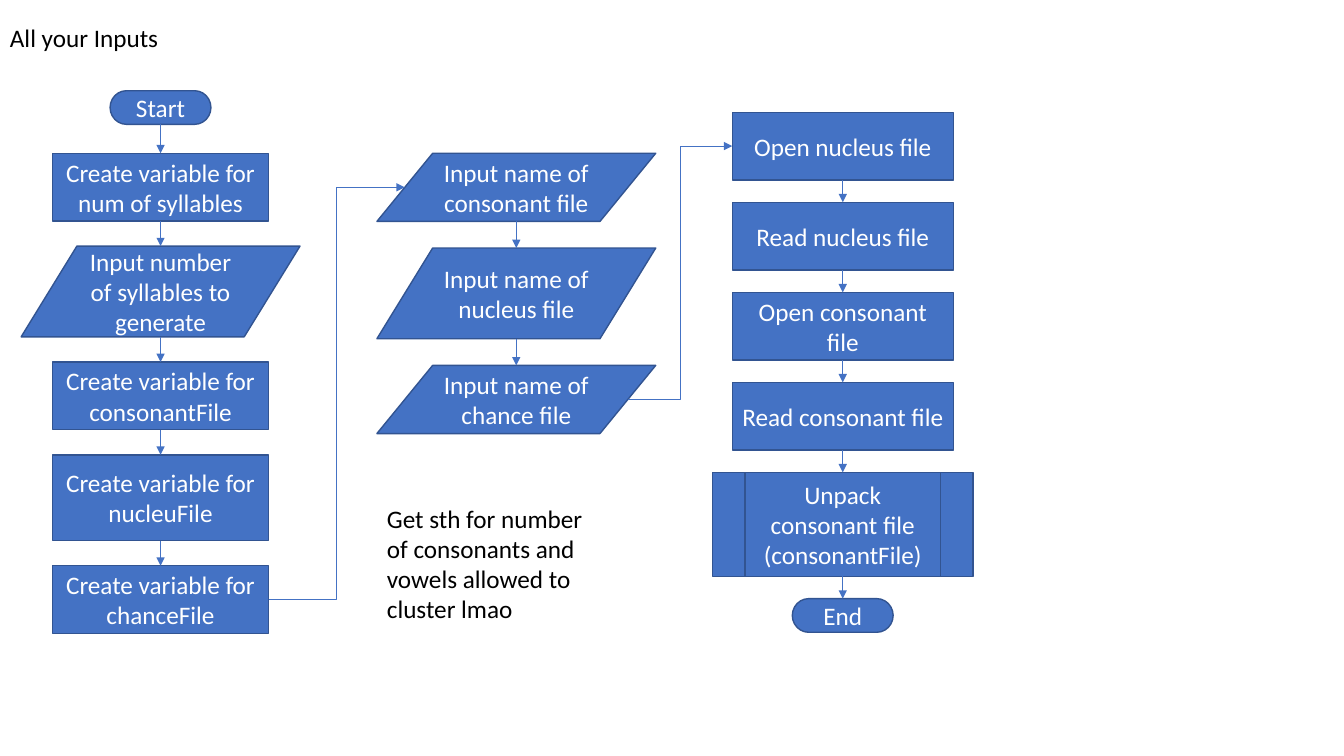
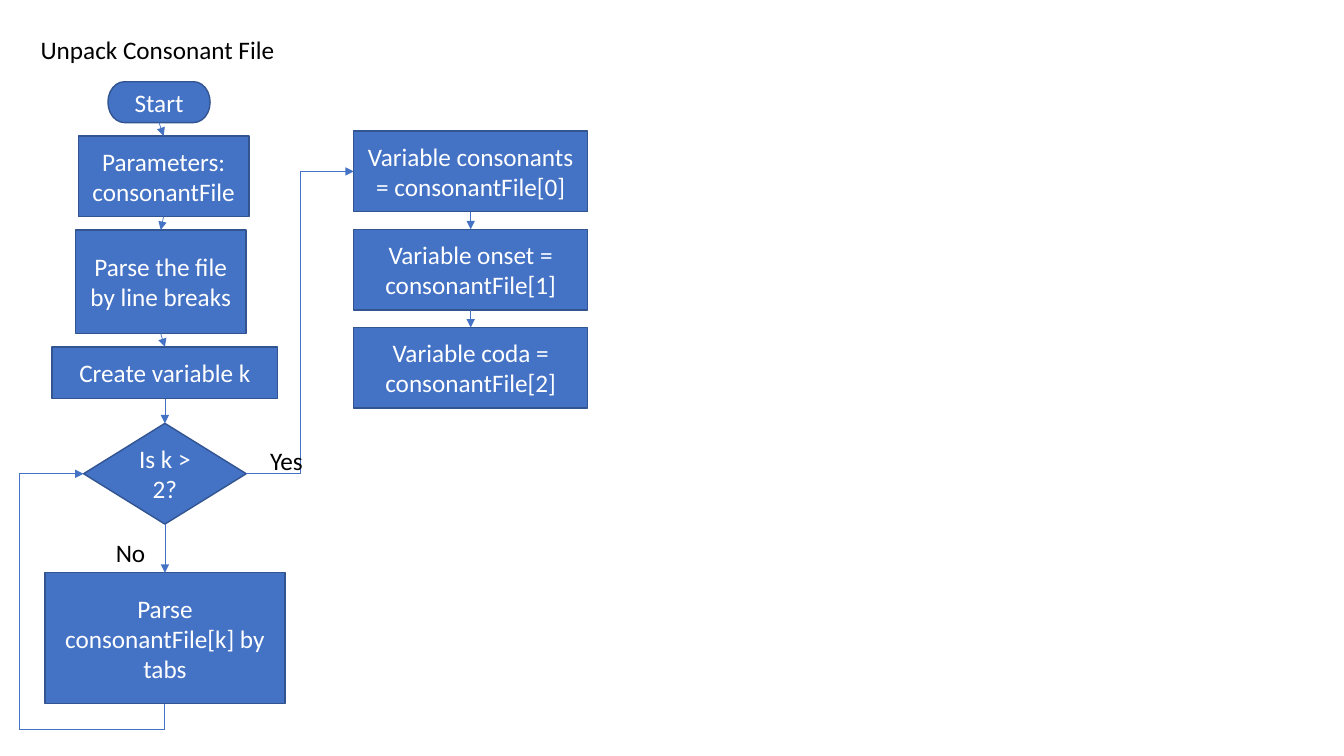
from collections import namedtuple

from lxml import etree
from pptx import Presentation
from pptx.dml.color import RGBColor
from pptx.enum.shapes import MSO_CONNECTOR, MSO_SHAPE
from pptx.enum.text import MSO_ANCHOR, MSO_AUTO_SIZE, PP_ALIGN
from pptx.oxml.ns import qn
from pptx.util import Pt

BLUE = RGBColor(0x44, 0x72, 0xC4)
DARK_BLUE = RGBColor(0x32, 0x54, 0x91)
WHITE = RGBColor(0xFF, 0xFF, 0xFF)
BLACK = RGBColor(0x00, 0x00, 0x00)
FONT = "Calibri"
FONT_SIZE = Pt(18)

TERMINATOR = MSO_SHAPE.FLOWCHART_TERMINATOR
PROCESS = MSO_SHAPE.FLOWCHART_PROCESS
DATA = MSO_SHAPE.FLOWCHART_DATA
SUBROUTINE = MSO_SHAPE.FLOWCHART_PREDEFINED_PROCESS
RECTANGLE = MSO_SHAPE.RECTANGLE
DECISION = MSO_SHAPE.DIAMOND
STRAIGHT = MSO_CONNECTOR.STRAIGHT
ELBOW = MSO_CONNECTOR.ELBOW
MIDDLE = MSO_ANCHOR.MIDDLE
CENTER = PP_ALIGN.CENTER
GROW = MSO_AUTO_SIZE.SHAPE_TO_FIT_TEXT

SITES = {"top": 0, "left": 1, "bottom": 2, "right": 3}
DATA_SITES = {"top": 1, "left": 2, "bottom": 4, "right": 5}

# shift moves a step sideways from the centre line of its column
Step = namedtuple("Step", "kind text width height shift", defaults=[0])


def format_text(text_frame, color):
    """Apply the shared font to every run."""
    for paragraph in text_frame.paragraphs:
        for run in paragraph.runs:
            run.font.name = FONT
            run.font.size = FONT_SIZE
            run.font.color.rgb = color


def add_label(slide, text, left, top, width, height, wrap=True):
    """Add plain black text."""
    shape = slide.shapes.add_textbox(Pt(left), Pt(top), Pt(width), Pt(height))
    text_frame = shape.text_frame
    text_frame.word_wrap = wrap
    text_frame.auto_size = GROW
    text_frame.text = text
    format_text(text_frame, BLACK)


def add_step(slide, step, center, top):
    """Add one flowchart symbol, centred on its column."""
    left = center + step.shift - step.width / 2
    shape = slide.shapes.add_shape(
        step.kind, Pt(left), Pt(top), Pt(step.width), Pt(step.height))
    shape.shadow.inherit = False
    shape.fill.solid()
    shape.fill.fore_color.rgb = BLUE
    shape.line.color.rgb = DARK_BLUE
    shape.line.width = Pt(1)
    text_frame = shape.text_frame
    text_frame.word_wrap = True
    text_frame.vertical_anchor = MIDDLE
    text_frame.text = step.text
    text_frame.paragraphs[0].alignment = CENTER
    format_text(text_frame, WHITE)
    return shape


def site_point(shape, side):
    """Return the point where a connector meets a side of the shape."""
    inset = shape.width // 10 if shape.auto_shape_type == DATA else 0
    middle_x = shape.left + shape.width // 2
    middle_y = shape.top + shape.height // 2
    return {
        "top": (middle_x, shape.top),
        "bottom": (middle_x, shape.top + shape.height),
        "left": (shape.left + inset, middle_y),
        "right": (shape.left + shape.width - inset, middle_y),
    }[side]


def glue(connector, tag, shape, side):
    """Attach one end of the connector to a side of the shape."""
    sites = DATA_SITES if shape.auto_shape_type == DATA else SITES
    properties = connector.element.find(".//" + qn("p:cNvCxnSpPr"))
    etree.SubElement(properties, qn(tag), id=str(shape.shape_id),
                     idx=str(sites[side]))


def draw_arrow(slide, kind, begin, end):
    """Draw a thin blue line with an arrowhead at its end."""
    connector = slide.shapes.add_connector(kind, *begin, *end)
    connector.line.color.rgb = BLUE
    connector.line.width = Pt(0.5)
    line = connector.element.spPr.find(qn("a:ln"))
    etree.SubElement(line, qn("a:tailEnd"), type="triangle")
    etree.SubElement(connector.element.spPr, qn("a:effectLst"))
    return connector


def connect(slide, source, target, sides=("bottom", "top"), kind=STRAIGHT):
    """Join two steps with an arrow."""
    connector = draw_arrow(slide, kind, site_point(source, sides[0]),
                           site_point(target, sides[1]))
    glue(connector, "a:stCxn", source, sides[0])
    glue(connector, "a:endCxn", target, sides[1])


def connect_loop(slide, source, target, drop, reach):
    """Lead an arrow from below the source round to the left of the target."""
    begin_x, begin_y = site_point(source, "bottom")
    end_x, end_y = site_point(target, "left")
    width, height = begin_y - end_y, begin_x - end_x
    center_x, center_y = (begin_x + end_x) // 2, (begin_y + end_y) // 2
    left, top = center_x - width // 2, center_y - height // 2
    connector = draw_arrow(slide, ELBOW, (left + width, top),
                           (left, top + height))
    properties = connector.element.spPr
    properties.find(qn("a:xfrm")).set("rot", "5400000")
    geometry = properties.find(qn("a:prstGeom"))
    geometry.set("prst", "bentConnector4")
    adjustments = geometry.find(qn("a:avLst"))
    ratios = {"adj1": -Pt(drop) / width, "adj2": Pt(reach) / height}
    for name, ratio in ratios.items():
        etree.SubElement(adjustments, qn("a:gd"), name=name,
                         fmla=f"val {round(ratio * 100000)}")
    glue(connector, "a:stCxn", source, "bottom")
    glue(connector, "a:endCxn", target, "left")


def add_column(slide, center, top, gap, steps):
    """Stack steps at an equal gap and join each to the next."""
    shapes = []
    for step in steps:
        shapes.append(add_step(slide, step, center, top))
        top += step.height + gap
    for source, target in zip(shapes, shapes[1:]):
        connect(slide, source, target)
    return shapes


def build_inputs(slide):
    """Build the flowchart of all inputs."""
    add_label(slide, "All your Inputs", 0, 12.4, 126, 29)
    start = add_step(slide, Step(TERMINATOR, "Start", 72, 24), 114.7, 64.8)
    variables = add_column(slide, 114.7, 109.5, 18, [
        Step(PROCESS, "Create variable for num of syllables", 154.2, 48.3),
        Step(DATA, "Input number of syllables to generate", 199.2, 64.8),
        Step(PROCESS, "Create variable for consonantFile", 154.2, 48.3),
        Step(PROCESS, "Create variable for nucleuFile", 154.2, 61.2),
        Step(PROCESS, "Create variable for chanceFile", 154.2, 48.3),
    ])
    names = add_column(slide, 368.8, 109.5, 19, [
        Step(DATA, "Input name of consonant file", 199.2, 48.7),
        Step(DATA, "Input name of nucleus file", 199.2, 64.8),
        Step(DATA, "Input name of chance file", 199.2, 48.7),
    ])
    file_steps = ["Open nucleus file", "Read nucleus file",
                  "Open consonant file", "Read consonant file"]
    files = add_column(slide, 602, 80.2, 16, [
        *(Step(PROCESS, text, 157.8, 48.3) for text in file_steps),
        Step(SUBROUTINE, "Unpack consonant file (consonantFile)", 186, 74.2),
        Step(TERMINATOR, "End", 72, 24),
    ])
    connect(slide, start, variables[0])
    connect(slide, variables[-1], names[0], ("right", "left"), ELBOW)
    connect(slide, names[-1], files[0], ("right", "left"), ELBOW)
    add_label(slide, "Get sth for number of consonants and vowels allowed to "
              "cluster lmao", 269.3, 355.7, 158.4, 94.5)


def build_unpack(slide):
    """Build the flowchart that unpacks the consonant file."""
    add_label(slide, "Unpack Consonant File", 21.9, 21, 183.6, 29, wrap=False)
    preparation = add_column(slide, 117.8, 58.4, 9.5, [
        Step(TERMINATOR, "Start", 73, 29.2, -4.2),
        Step(PROCESS, "Parameters: consonantFile", 121.7, 57.6, -0.9),
        Step(PROCESS, "Parse the file by line breaks", 121.7, 74.1, -3),
        Step(RECTANGLE, "Create variable k", 161.3, 37),
    ])
    decision, parsing = add_column(slide, 117.8, 302.4, 34.7, [
        Step(DECISION, "Is k > 2?", 116.2, 72),
        Step(RECTANGLE, "Parse consonantFile[k] by tabs", 171.4, 93.6),
    ])
    variables = add_column(slide, 336.2, 93.7, 12.5, [
        Step(RECTANGLE, f"Variable {name} = consonantFile[{index}]", 167, 57.6)
        for index, name in enumerate(["consonants", "onset", "coda"])
    ])
    connect(slide, preparation[-1], decision)
    connect(slide, decision, variables[0], ("right", "left"), ELBOW)
    connect_loop(slide, parsing, decision, drop=18, reach=103.6)
    add_label(slide, "Yes", 185.8, 314.6, 38.2, 29, wrap=False)
    add_label(slide, "No", 75.6, 380.2, 41.8, 29)


def main():
    """Build and save the presentation."""
    presentation = Presentation()
    presentation.slide_width = Pt(960)
    presentation.slide_height = Pt(540)
    blank = presentation.slide_layouts[6]
    for build in (build_inputs, build_unpack):
        build(presentation.slides.add_slide(blank))
    presentation.save("out.pptx")


main()
